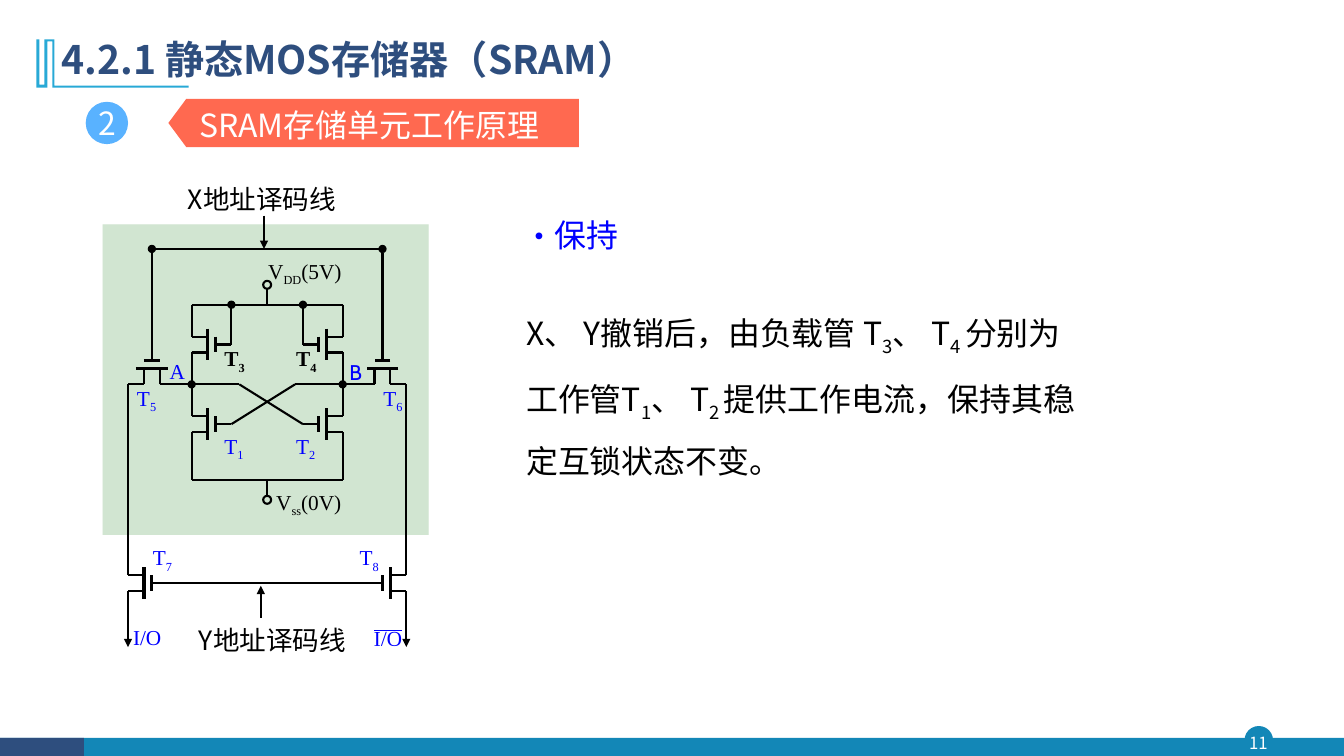
from dataclasses import dataclass

from lxml import etree
from pptx import Presentation
from pptx import util as u
from pptx.dml.color import RGBColor
from pptx.enum import shapes, text
from pptx.oxml.ns import qn


@dataclass(frozen=True)
class Theme:
    teal: str = "1387B7"
    navy: str = "2E4E7E"
    cyan: str = "28A9D6"
    sky: str = "59B2FF"
    coral: str = "FF6950"
    green: str = "008000"
    gray: str = "E7E6E6"
    blue: str = "0000FF"
    black: str = "000000"
    white: str = "FFFFFF"
    sans: str = "Noto Sans CJK SC"
    serif: str = "Times New Roman"
    latin: str = "Cabin"
    title: float = 28
    body: float = 22.8
    caption: float = 19
    label: float = 15.2
    page: float = 12
    wire: float = 1.5
    bar: float = 2.25


T = Theme()
W, H = 13.33, 7.5
LEFT, CENTER, JUSTIFY = (text.PP_ALIGN.LEFT, text.PP_ALIGN.CENTER,
                         text.PP_ALIGN.JUSTIFY)
MIDDLE = text.MSO_ANCHOR.MIDDLE
RECT, OVAL = shapes.MSO_SHAPE.RECTANGLE, shapes.MSO_SHAPE.OVAL


def inches(*lengths):
    return [u.Inches(length) for length in lengths]


def write(frame, runs, size, color, font=T.sans, bold=False, underline=False,
          align=LEFT, anchor=text.MSO_ANCHOR.TOP, inset=None, spacing=None,
          bullet_indent=None):
    """Fill a frame with runs; a run given as a one-item tuple is a subscript."""
    frame.word_wrap = True
    frame.auto_size = text.MSO_AUTO_SIZE.NONE
    frame.vertical_anchor = anchor
    if inset is not None:
        frame.margin_left = frame.margin_right = u.Inches(inset)
        frame.margin_top = frame.margin_bottom = u.Inches(inset)
    line = frame.paragraphs[0]
    line.alignment = align
    if spacing:
        line.line_spacing = spacing
    if bullet_indent:
        props = line._p.get_or_add_pPr()
        indent = u.Inches(bullet_indent)
        props.set("marL", str(indent))
        props.set("indent", str(-indent))
        etree.SubElement(props, qn("a:buFont"), typeface=font)
        etree.SubElement(props, qn("a:buChar"), char="•")
    for part in runs:
        run = line.add_run()
        run.text = part[0] if isinstance(part, tuple) else part
        run.font.size, run.font.bold = u.Pt(size), bold
        run.font.color.rgb = RGBColor.from_string(color)
        run.font.name = font
        props = run._r.get_or_add_rPr()
        etree.SubElement(props, qn("a:ea"), typeface=font)
        if underline:
            run.font.underline = True
        if isinstance(part, tuple):
            props.set("baseline", "-25000")


def add_text(slide, box, runs, size, color, **style):
    area = slide.shapes.add_textbox(*inches(*box))
    write(area.text_frame, runs, size, color, **style)
    return area


def paint(shape, fill=None, line=None, width=1, opacity=None):
    shape.shadow.inherit = False
    if fill:
        shape.fill.solid()
        shape.fill.fore_color.rgb = RGBColor.from_string(fill)
        if opacity:
            tint = shape.fill._xPr.find(qn("a:solidFill"))[0]
            etree.SubElement(tint, qn("a:alpha"), val=str(opacity * 1000))
    else:
        shape.fill.background()
    if line:
        shape.line.color.rgb = RGBColor.from_string(line)
        shape.line.width = u.Pt(width)
    else:
        shape.line.fill.background()
    return shape


def add_shape(slide, kind, box, **look):
    return paint(slide.shapes.add_shape(kind, *inches(*box)), **look)


def footer(slide, left, top, width, height):
    add_shape(slide, OVAL, (left + 12.35, top - 0.11, 0.27, 0.27),
              fill=T.teal, line=T.teal)
    add_shape(slide, RECT, (left, top, width, height), fill=T.teal)
    add_shape(slide, RECT, (left, top, width / 16, height), fill=T.navy)
    # Page number, in front of the bar
    add_text(slide, (left + 12.32, top - 0.11, 0.32, 0.31), ["11"], T.page, T.white,
             align=CENTER, anchor=MIDDLE, inset=0)


def heading(slide, left, top, width, height):
    # Corner mark, in hundredths of an inch from the corner of the box
    outline = [(18, 0), (18, 46), (151, 46), (151, 48), (16, 48), (16, 2), (11, 2),
               (11, 48), (0, 48), (0, 0), (3, 0), (3, 45), (8, 45), (8, 0)]
    mark = slide.shapes.build_freeform(*outline[0], scale=u.Inches(0.01))
    mark.add_line_segments(outline[1:], close=True)
    paint(mark.convert_to_shape(*inches(left, top + 0.12)), fill=T.cyan)
    title = slide.shapes.title
    title.left, title.top, title.width, title.height = inches(
        left + 0.15, top, width, height)
    write(title.text_frame, ["4.2.1 静态MOS存储器（SRAM）"], T.title, T.navy,
          bold=True, anchor=MIDDLE, spacing=0.9)


def section_banner(slide, left, top, width, height):
    number = add_shape(slide, OVAL, (left, top + 0.03, 0.42, 0.42), fill=T.sky)
    write(number.text_frame, ["2"], T.body, T.white, align=CENTER,
          anchor=MIDDLE, inset=0)
    ribbon = add_shape(slide, shapes.MSO_SHAPE.PENTAGON,
                       (left + 0.82, top, width - 0.82, height), fill=T.coral)
    ribbon.adjustments[0] = 0.37
    ribbon.rotation = 180
    add_text(slide, (left + 1.03, top + 0.02, width - 1.03, height),
             ["SRAM存储单元工作原理"], T.body, T.white)


def explanation(slide, left, top, width, height):
    add_text(slide, (left, top, width, 0.48), ["保持"], T.body, T.blue,
             bullet_indent=0.31)
    add_text(slide, (left + 0.03, top + 0.76, width, height - 0.76),
             ["X、 Y撤销后，由负载管 T", ("3",), "、 T", ("4 ",), "分别为工作管T",
              ("1",), "、 T", ("2 ",), "提供工作电流，保持其稳定互锁状态不变。"],
             T.body, T.black, spacing=1.5)


def sram_cell(slide, left, top, width, height):
    columns, rows = 35, 50
    col, row = width / columns, height / rows

    def place(x, y, w, h):
        return left + x * col, top + y * row, w * col, h * row

    def wire(x1, y1, x2, y2, weight=T.wire, head=None, tail=None):
        line = slide.shapes.add_connector(
            shapes.MSO_CONNECTOR.STRAIGHT,
            *inches(left + x1 * col, top + y1 * row, left + x2 * col, top + y2 * row))
        line.line.color.rgb = RGBColor.from_string(T.black)
        line.line.width = u.Pt(weight)
        for tag, end in (("a:headEnd", head), ("a:tailEnd", tail)):
            if end:
                etree.SubElement(line.line._get_or_add_ln(), qn(tag), type=end)
        etree.SubElement(line._element.spPr, qn("a:effectLst"))

    def pair(x1, y1, x2, y2, **look):
        """A wire and its mirror image about the middle column."""
        wire(x1, y1, x2, y2, **look)
        wire(columns - x1, y1, columns - x2, y2, **look)

    def transistors(x, y, upright=False):
        """Two mirrored transistors; strokes run (along, out) from the terminals."""
        for a1, o1, a2, o2, weight in ((-2, 2, 2, 2, T.bar), (-1, 3, 1, 3, T.bar),
                                       (-1, 0, -1, 2, T.wire), (1, 0, 1, 2, T.wire),
                                       (0, 3, 0, 5, T.wire)):
            if upright:
                pair(x + a1, y - o1, x + a2, y - o2, weight=weight)
            else:
                pair(x + o1, y + a1, x + o2, y + a2, weight=weight)

    # Cell background
    for tint in (T.green, T.gray):
        add_shape(slide, RECT, place(-3.2, -3.1, 41, 39), fill=tint, opacity=20)
    # Transistors: T3/T4, T1/T2, T7/T8, then T5/T6
    for x, y in ((8, 12), (8, 22), (0, 42)):
        transistors(x, y)
    transistors(3, 17, upright=True)
    # Rails and supply stubs
    for rail in ((3, 0, 32, 0), (8, 7, 27, 7), (8, 29, 27, 29), (5, 42, 30, 42),
                 (17.5, 29, 17.5, 31), (17.5, 7, 17.5, 5)):
        wire(*rail)
    for y in (4, 31):
        add_shape(slide, OVAL, place(17, y, 1, 1), line=T.black, width=T.wire)
    # Mirrored wiring, the cross-coupling last
    for run in ((8, 7, 8, 11), (8, 13, 8, 21), (8, 23, 8, 29), (0, 17, 0, 41),
                (2, 17, 0, 17), (8, 17, 14, 17), (14, 17, 22, 22)):
        pair(*run)
    pair(3, 0, 3, 12, head="oval")
    pair(13, 7, 13, 12, head="oval")
    pair(4, 17, 8, 17, tail="oval")
    pair(0, 43, 0, 50, tail="triangle")
    # Address line arrows
    wire(17.1, -4.2, 17.1, 0, tail="triangle")
    wire(16.7, 46.3, 16.7, 42.3, tail="triangle")

    # Labels
    def label(box, runs, size=T.label, color=T.blue, font=T.serif, **style):
        return add_text(slide, place(*box), runs, size, color, font=font,
                        align=JUSTIFY, inset=0.01, **style)

    for index, x, y in ((1, 12, 23), (2, 21, 23), (3, 12, 12), (4, 21, 12),
                        (5, 1, 17), (6, 32, 17), (7, 3, 37), (8, 29, 37)):
        load = index in (3, 4)
        label((x, y, 3.1, 4), ["T", (str(index),)], bold=load,
              color=T.black if load else T.blue)
    label((17.5, 1, 9.6, 6), ["V", ("DD",), "(5V)"], color=T.black)
    label((18.5, 30, 9.6, 6), ["V", ("ss",), "(0V)"], color=T.black)
    label((5.1, 13.6, 3.3, 3.7), ["A"])
    label((27.7, 13.7, 2.5, 4), ["B"], font=T.latin)
    label((0.5, 47, 4.6, 3), ["I/O"])
    # Turned upside down, the underline reads as the inversion bar
    label((30, 48, 4.6, 3), ["O/I"], underline=True).rotation = 180
    for x, y, caption in ((7.4, -8.4, "X地址译码线"), (8.8, 47, "Y地址译码线")):
        label((x, y, 21.8, 4), [caption], size=T.caption, color=T.black, font=T.sans)


def main():
    deck = Presentation()
    deck.slide_width, deck.slide_height = inches(W, H)
    slide = deck.slides.add_slide(deck.slide_layouts[5])
    footer(slide, 0, 7.32, W, 0.18)
    heading(slide, 0.36, 0.27, 7.23, 0.68)
    section_banner(slide, 0.85, 0.98, 4.89, 0.48)
    explanation(slide, 5.09, 2.09, 5.7, 2.52)
    sram_cell(slide, 1.27, 2.47, 2.76, 3.95)
    deck.save("out.pptx")


if __name__ == "__main__":
    main()
